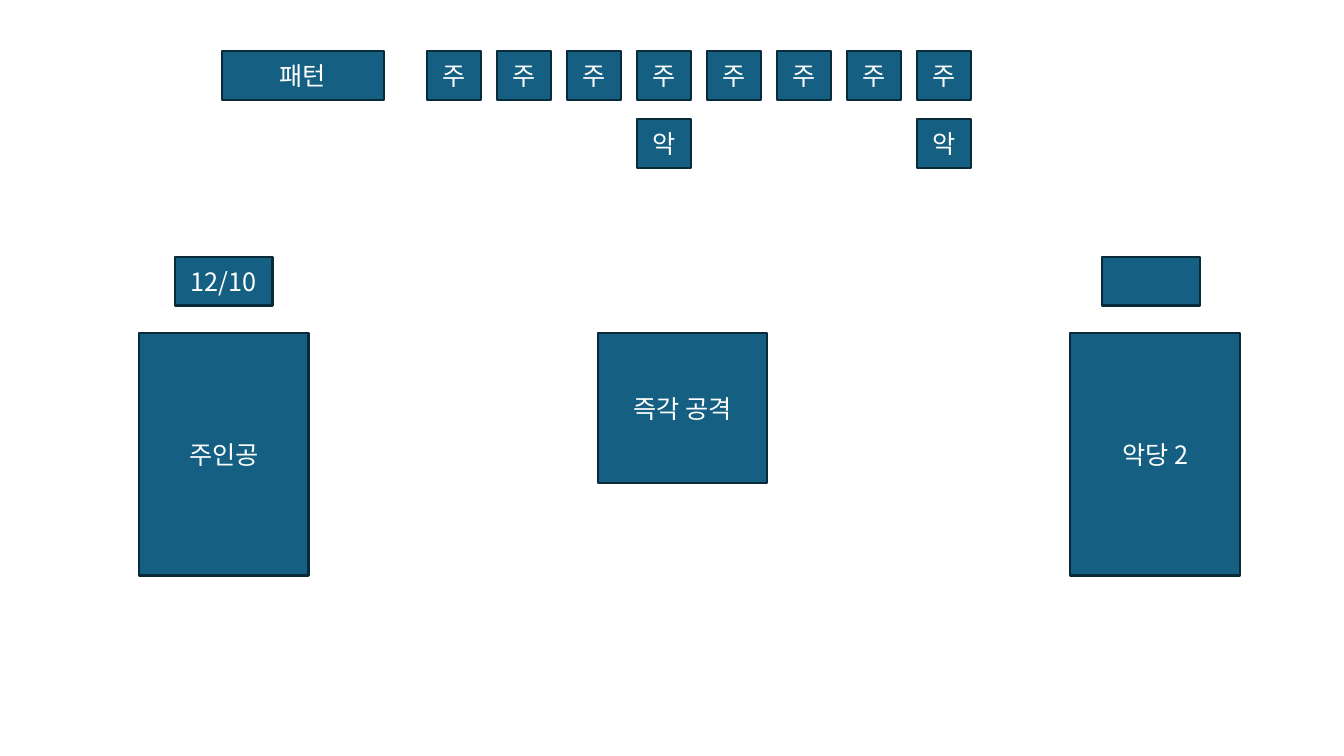
from pptx import Presentation
from pptx.dml.color import RGBColor
from pptx.enum.shapes import MSO_SHAPE as Shape
from pptx.enum.text import MSO_ANCHOR as Anchor, PP_ALIGN as Align
from pptx.oxml.ns import qn
from pptx.util import Pt
from lxml.etree import SubElement

BLUE = RGBColor(0x15, 0x60, 0x82)
NAVY = RGBColor(0x09, 0x2A, 0x39)
WHITE = RGBColor(0xFF, 0xFF, 0xFF)
FONT = "Noto Sans CJK KR"

deck = Presentation()
deck.slide_width, deck.slide_height = Pt(960), Pt(540)
slide = deck.slides.add_slide(deck.slide_layouts[6])


def add_box(text, *, left, top, width, height, size=18):
    box = slide.shapes.add_shape(
        Shape.RECTANGLE, Pt(left), Pt(top), Pt(width), Pt(height))
    box.shadow.inherit = False
    box.fill.solid()
    box.fill.fore_color.rgb = BLUE
    box.line.color.rgb = NAVY
    box.line.width = Pt(1.5)
    if not text:
        return
    frame = box.text_frame
    frame.word_wrap = True
    frame.vertical_anchor = Anchor.MIDDLE
    para = frame.paragraphs[0]
    para.alignment = Align.CENTER
    run = para.add_run()
    run.text = text
    run.font.size = Pt(size)
    run.font.name = FONT
    run.font.color.rgb = WHITE
    # Hangul takes the East Asian typeface
    SubElement(run.font._element, qn("a:ea"), typeface=FONT)


# Fighter cards, each with a badge above
CARD_TOP, CARD_W = 237.6, 121
BADGE_TOP, BADGE_W = 183.6, 70
ROW_H = 34.7
for name, left, badge, start in [("주인공", 99.4, "12/10", 124.7),
                                 ("악당 2", 764.6, "", 787)]:
    add_box(name, left=left, top=CARD_TOP, width=CARD_W, height=173.5)
    add_box(badge, left=start, top=BADGE_TOP, width=BADGE_W, height=ROW_H)

# Pattern row: hero on every beat, villain on every fourth
ROW_TOP, ROW_STEP = 36.7, 48.4
BEAT_LEFT, BEAT_STEP, BEAT_W = 305.3, 50, 38.2
add_box("패턴", left=158.4, top=ROW_TOP, width=116, height=ROW_H)
for beat in range(8):
    left = BEAT_LEFT + beat * BEAT_STEP
    add_box("주", left=left, top=ROW_TOP, width=BEAT_W, height=ROW_H)
    if beat % 4 == 3:
        add_box("악", left=left, top=ROW_TOP + ROW_STEP,
                width=BEAT_W, height=ROW_H)

# Action in the middle
add_box("즉각 공격", left=427, top=CARD_TOP, width=CARD_W, height=107.6)

deck.save("out.pptx")
